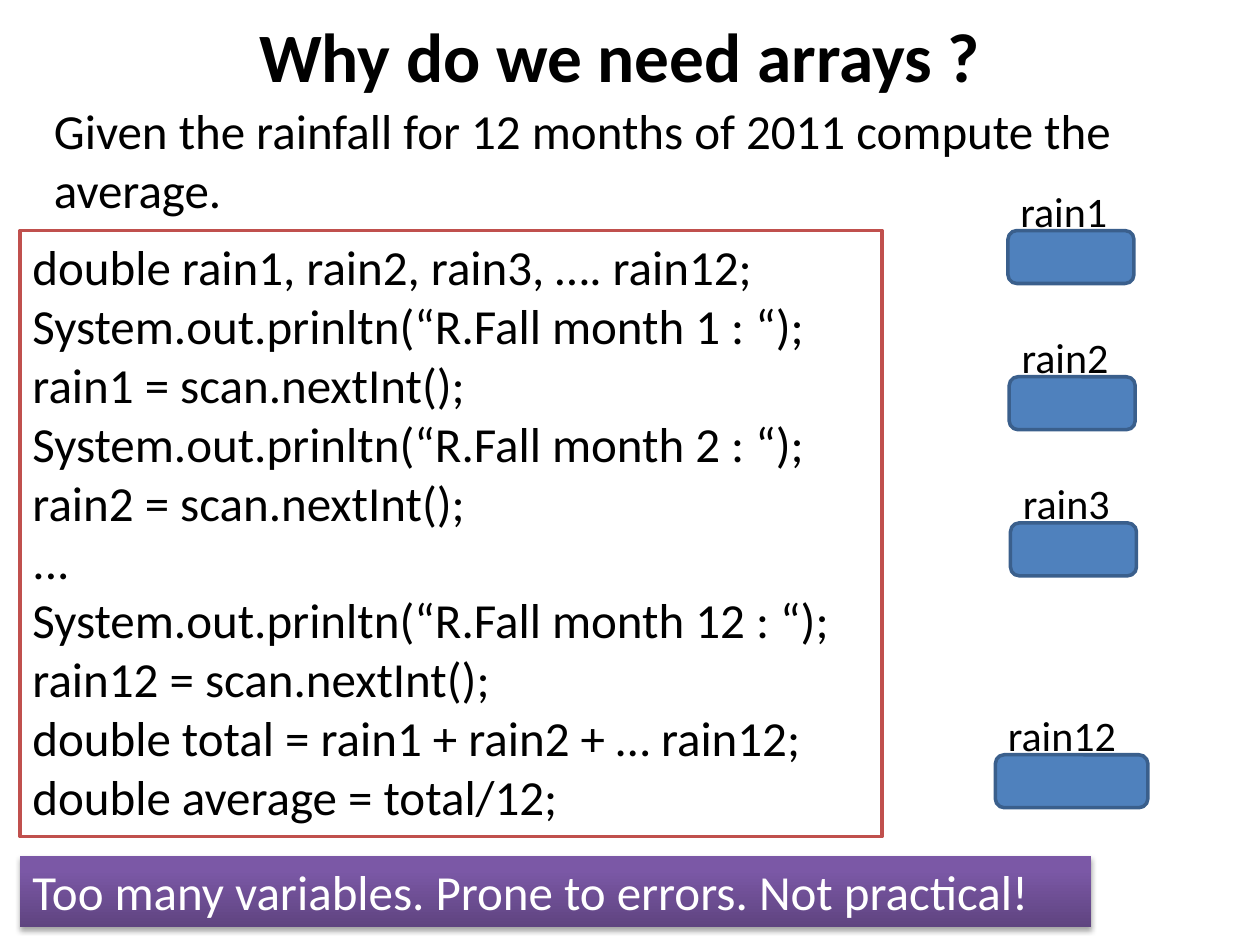
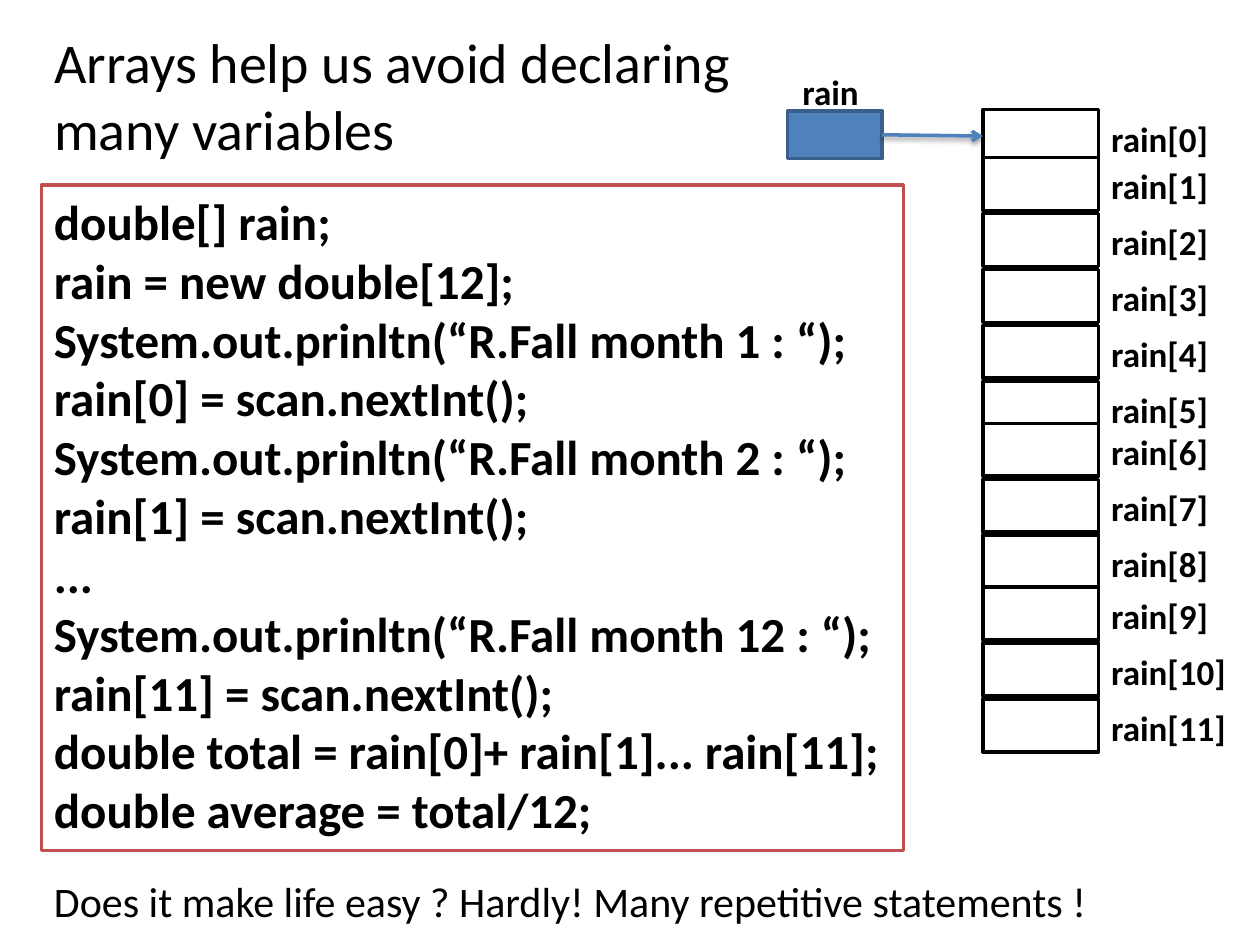
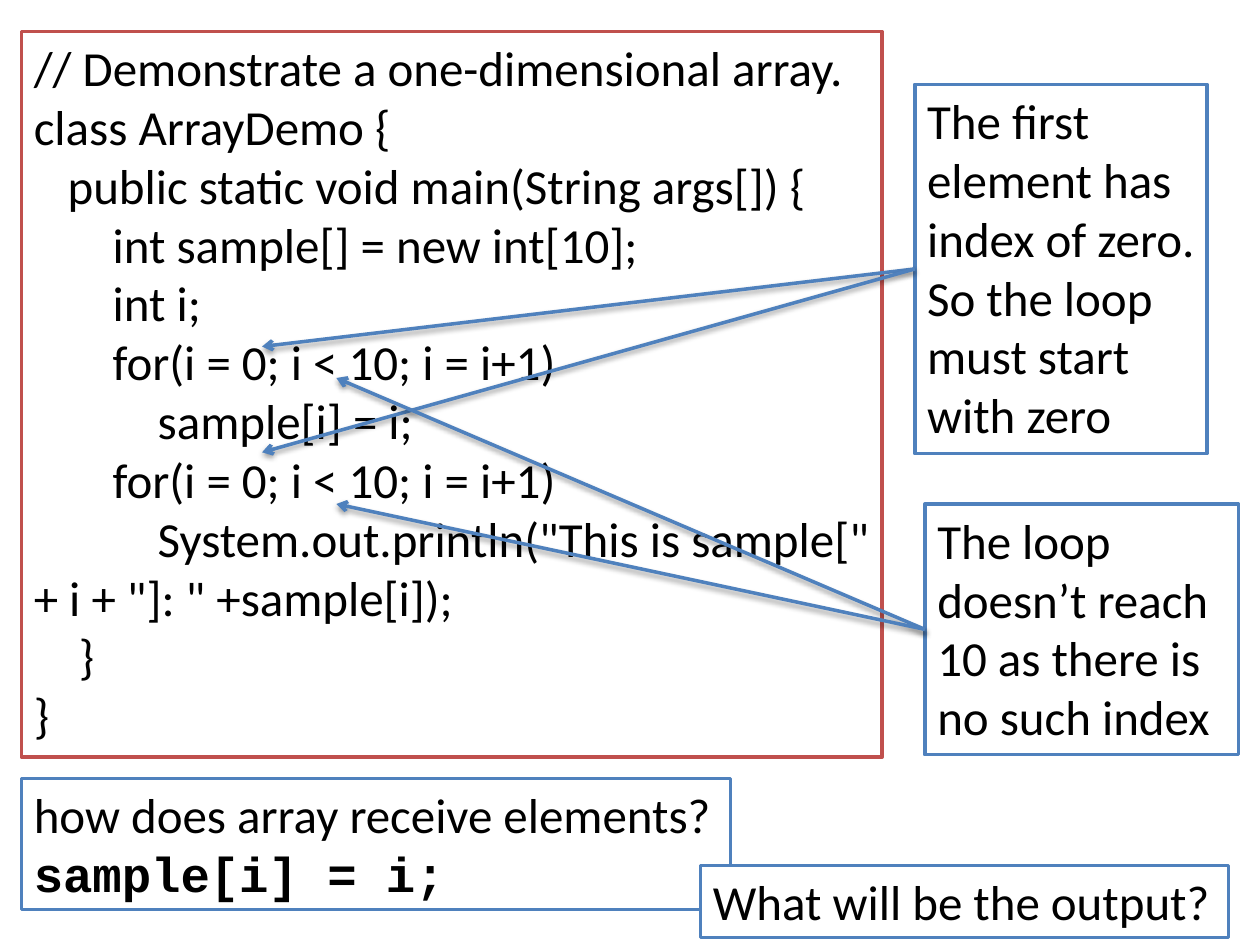
from dataclasses import dataclass

from lxml.etree import SubElement
from pptx import Presentation
from pptx.dml.color import RGBColor
from pptx.enum.shapes import MSO_CONNECTOR, MSO_SHAPE
from pptx.enum.text import MSO_ANCHOR, MSO_AUTO_SIZE, PP_ALIGN
from pptx.oxml.ns import qn
from pptx.util import Inches, Pt

COLUMNS, ROWS = 100, 75
TITLE_ONLY, BLANK = 5, 6


@dataclass(frozen=True)
class Theme:
    """Colours, fonts and sizes shared by all slides."""
    black: str = "000000"
    white: str = "FFFFFF"
    red: str = "C0504D"
    blue: str = "4F81BD"
    blue_edge: str = "3A5F8C"
    purple_dark: str = "5F4480"
    purple: str = "7B58A6"
    font: str = "Calibri"
    code_font: str = "Courier New"
    title: float = 39.6
    heading: float = 32
    body: float = 28
    label: float = 24
    small: float = 20
    line: float = 2
    space: float = 0.23  # width of a space as a share of the type size


class Deck:
    """Draws elements in the shared style on the current slide."""

    def __init__(self, theme):
        """Start an empty 4:3 presentation."""
        self.theme = theme
        self.presentation = Presentation()
        self.presentation.slide_width = Inches(10)
        self.presentation.slide_height = Inches(7.5)
        self.slide = None

    def new_slide(self, layout=BLANK):
        """Add a slide and make it the current one."""
        layouts = self.presentation.slide_layouts
        self.slide = self.presentation.slides.add_slide(layouts[layout])

    def area(self, left, top, width, height):
        """Turn grid columns and rows into lengths."""
        column = self.presentation.slide_width / COLUMNS
        row = self.presentation.slide_height / ROWS
        return (round(left * column), round(top * row),
                round(width * column), round(height * row))

    def fill_text(self, shape, text, size, color=None, bold=False, wrap=True,
                  align=PP_ALIGN.LEFT, anchor=MSO_ANCHOR.TOP):
        """Fill a shape with text; leading spaces become a first-line indent."""
        frame = shape.text_frame
        frame.text = "\n".join(line.lstrip() for line in text.split("\n"))
        frame.word_wrap = wrap
        frame.auto_size = MSO_AUTO_SIZE.NONE
        frame.vertical_anchor = anchor
        for paragraph, line in zip(frame.paragraphs, text.split("\n")):
            paragraph.alignment = align
            depth = len(line) - len(line.lstrip())
            if depth:
                properties = paragraph._p.get_or_add_pPr()
                properties.set("marL", "0")
                properties.set("indent", str(Pt(depth * self.theme.space * size)))
            for run in paragraph.runs:
                run.font.name = self.theme.font
                run.font.size = Pt(size)
                run.font.bold = bold
                run.font.color.rgb = RGBColor.from_string(color or self.theme.black)

    def title(self, area, text, size, **style):
        """Move and fill the title placeholder."""
        shape = self.slide.shapes.title
        shape.left, shape.top, shape.width, shape.height = self.area(*area)
        self.fill_text(shape, text, size, **style)

    def text(self, area, text, size, **style):
        """Add a plain text box."""
        shape = self.slide.shapes.add_textbox(*self.area(*area))
        self.fill_text(shape, text, size, **style)

    def box(self, area, fill, edge, kind=MSO_SHAPE.RECTANGLE):
        """Add a filled and outlined shape without shadow."""
        shape = self.slide.shapes.add_shape(kind, *self.area(*area))
        shape.shadow.inherit = False
        shape.fill.solid()
        shape.fill.fore_color.rgb = RGBColor.from_string(fill)
        shape.line.color.rgb = RGBColor.from_string(edge)
        shape.line.width = Pt(self.theme.line)
        return shape

    def panel(self, area, text, edge, **style):
        """Add a white outlined panel of body text."""
        shape = self.box(area, self.theme.white, edge)
        self.fill_text(shape, text, self.theme.body, **style)
        return shape

    def shadow(self, shape, distance, opacity):
        """Give a shape a soft shadow straight below it."""
        properties = shape._element.spPr
        for effects in properties.findall(qn("a:effectLst")):
            properties.remove(effects)
        effects = SubElement(properties, qn("a:effectLst"))
        outer = SubElement(effects, qn("a:outerShdw"), blurRad=str(Pt(3.1)),
                           dist=str(Pt(distance)), dir="5400000", rotWithShape="0")
        color = SubElement(outer, qn("a:srgbClr"), val=self.theme.black)
        SubElement(color, qn("a:alpha"), val=str(opacity * 1000))

    def banner(self, area, text):
        """Add a purple gradient band with white text."""
        shape = self.box(area, self.theme.purple, self.theme.purple)
        shape.line.fill.background()
        shape.fill.gradient()
        shape.fill.gradient_angle = 90
        stops = ((0, self.theme.purple_dark), (0.8, self.theme.purple))
        for stop, (position, color) in zip(shape.fill.gradient_stops, stops):
            stop.position = position
            stop.color.rgb = RGBColor.from_string(color)
        self.shadow(shape, 1.8, 35)
        self.fill_text(shape, text, self.theme.body, color=self.theme.white)

    def arrow(self, start, end):
        """Add a blue arrow between two grid points."""
        connector = self.slide.shapes.add_connector(
            MSO_CONNECTOR.STRAIGHT, *self.area(*start, *end))
        connector.line.color.rgb = RGBColor.from_string(self.theme.blue)
        connector.line.width = Pt(self.theme.line)
        SubElement(connector.get_or_add_ln(), qn("a:tailEnd"), type="arrow")
        self.shadow(connector, 1.6, 38)

    def variable(self, left, top, width, name):
        """Add a rounded variable box with its name above."""
        self.box((left, top, width, 4.2), self.theme.blue, self.theme.blue_edge,
                 MSO_SHAPE.ROUNDED_RECTANGLE)
        self.text((left, top - 4.1, width, 5), name, self.theme.label)

    def array_cell(self, index, top):
        """Add one array cell with its indexed name at the right."""
        self.box((78, top, 9.2, 4.2), self.theme.white, self.theme.black)
        self.text((87.2, top + 0.1, 11.2, 4.4), f"rain[{index}]", self.theme.small,
                  bold=True, wrap=False)


SEPARATE_VARIABLES = """double rain1, rain2, rain3, …. rain12;
System.out.prinltn(“R.Fall month 1 : “);
rain1 = scan.nextInt();
System.out.prinltn(“R.Fall month 2 : “);
rain2 = scan.nextInt();
...
System.out.prinltn(“R.Fall month 12 : “);
rain12 = scan.nextInt();
double total = rain1 + rain2 + … rain12;
double average = total/12;"""

ARRAY_VARIABLE = """double[] rain;
rain = new double[12];
System.out.prinltn(“R.Fall month 1 : “);
rain[0] = scan.nextInt();
System.out.prinltn(“R.Fall month 2 : “);
rain[1] = scan.nextInt();
...
System.out.prinltn(“R.Fall month 12 : “);
rain[11] = scan.nextInt();
double total = rain[0]+ rain[1]... rain[11];
double average = total/12;"""

ARRAY_DEMO = """// Demonstrate a one-dimensional array.
class ArrayDemo {
   public static void main(String args[]) {
       int sample[] = new int[10];
       int i;
       for(i = 0; i < 10; i = i+1)
           sample[i] = i;
       for(i = 0; i < 10; i = i+1)
           System.out.println("This is sample[" + i + "]: " +sample[i]);
    }
}"""


def why_arrays(deck):
    """Slide 1: one variable per month."""
    theme = deck.theme
    deck.new_slide(TITLE_ONLY)
    deck.title((4.2, 1.7, 90, 5.3), "Why do we need arrays ?", theme.title, bold=True,
               align=PP_ALIGN.CENTER, anchor=MSO_ANCHOR.MIDDLE)
    deck.panel((1.6, 18.3, 68.4, 48.1), SEPARATE_VARIABLES, theme.red)
    deck.text((3.3, 7.5, 93.3, 10.4),
              "Given the rainfall for 12 months of 2011 compute the average.", theme.body)
    for step in range(3):
        deck.variable(80 + 0.1 * step, 18.3 + 11.6 * step, 10, f"rain{step + 1}")
    deck.variable(79, 59.9, 12.1, "rain12")
    deck.banner((1.6, 67.9, 85, 5.7),
                "Too many variables. Prone to errors. Not practical!")


def array_cells(deck):
    """Slide 2: one array with twelve cells."""
    theme = deck.theme
    deck.new_slide(TITLE_ONLY)
    deck.title((3.3, 1.7, 56.7, 11.8), "Arrays help us avoid declaring many variables",
               theme.heading)
    deck.panel((3.3, 14.7, 68.4, 52.8), ARRAY_VARIABLE, theme.red, bold=True, wrap=False)
    blocks = ((8.7, 1), (12.5, 5), (33.6, 3), (46.6, 3))
    tops = [top + 4.44 * step for top, count in blocks for step in range(count)]
    for index, top in enumerate(tops):
        deck.array_cell(index, top)
    deck.box((62.5, 8.8, 7.5, 3.8), theme.blue, theme.blue_edge)
    deck.arrow((70, 10.7), (78, 10.8))
    deck.text((62.7, 5.1, 7.3, 4.4), "rain", theme.small, bold=True)
    deck.text((3.3, 69, 95.1, 5),
              "Does it make life easy ? Hardly! Many repetitive statements !", theme.label)


def array_demo(deck):
    """Slide 3: a loop over an array with comments."""
    theme = deck.theme
    deck.new_slide()
    deck.panel((1.7, 2.5, 68.3, 57.6), ARRAY_DEMO, theme.red)
    comments = (
        ((72.6, 6.7, 23.2, 29.3), 20.8, (27.5, 35.9),
         "The first element has index of zero. So the loop must start with zero"),
        ((73.4, 40, 24.9, 19.9), 26.7, (30, 40),
         "The loop doesn’t reach 10 as there is no such index"),
    )
    for area, target, target_rows, text in comments:
        deck.panel(area, text, theme.blue)
        left, top, _, height = area
        for row in target_rows:
            deck.arrow((left, top + height / 2), (target, row))
    question = deck.panel((1.7, 61.8, 56.3, 10.4),
                          "how does array receive elements?\nsample[i] = i;",
                          theme.blue, wrap=False)
    answer = question.text_frame.paragraphs[1].runs[0]
    answer.font.name = theme.code_font
    answer.font.bold = True
    deck.panel((55.6, 68.7, 41.9, 5.7), "What will be the output?", theme.blue, wrap=False)


def main():
    """Build and save the three slides."""
    deck = Deck(Theme())
    for build in (why_arrays, array_cells, array_demo):
        build(deck)
    deck.presentation.save("out.pptx")


main()
